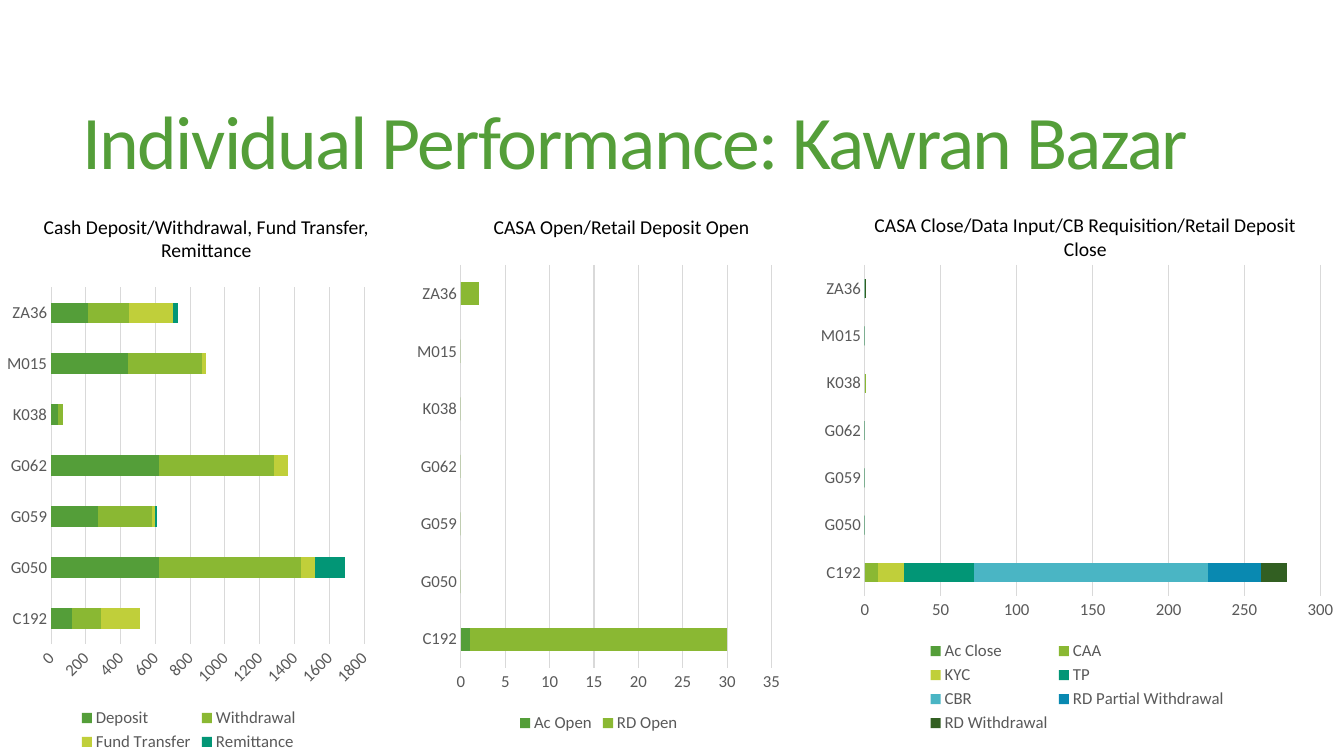
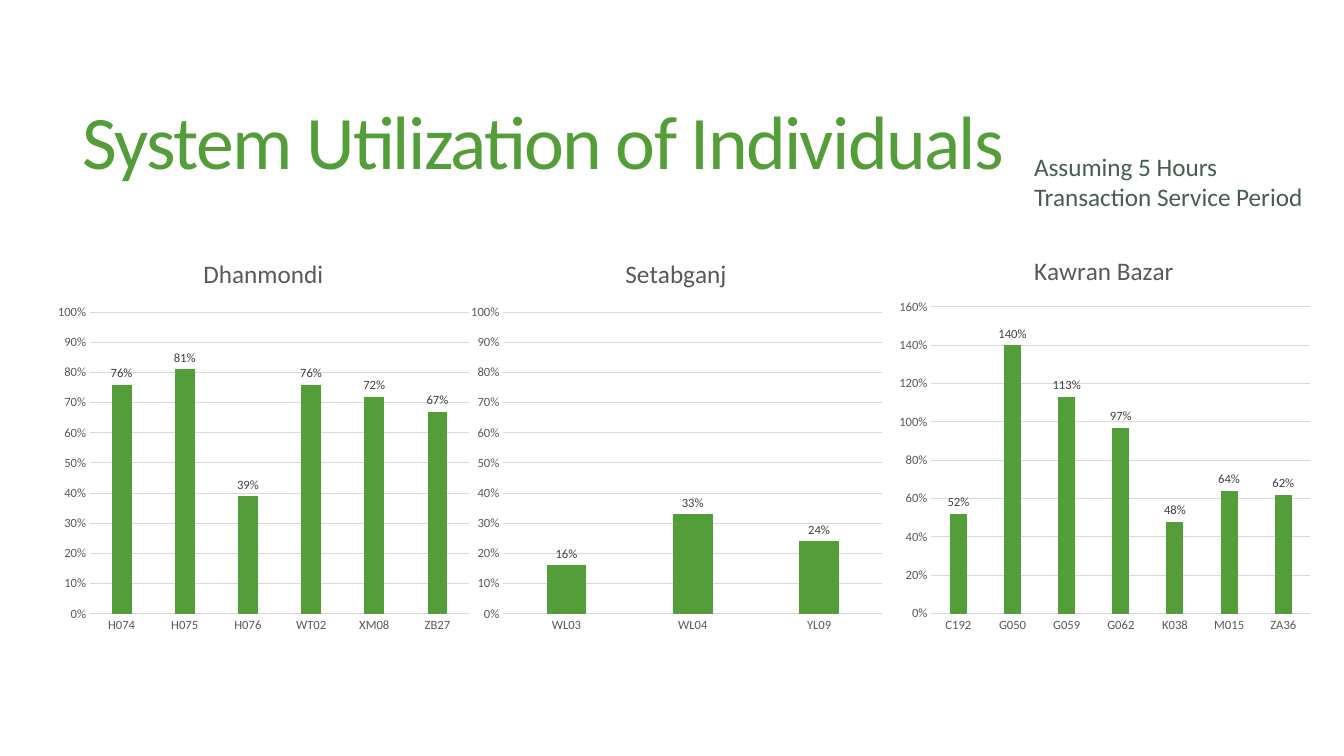
from lxml.etree import SubElement
from pptx import Presentation
from pptx.chart.data import CategoryChartData
from pptx.dml.color import RGBColor
from pptx.enum.chart import (XL_CHART_TYPE as ChartType, XL_LABEL_POSITION as LabelPos,
                             XL_LEGEND_POSITION as LegendPos, XL_TICK_MARK as Tick)
from pptx.enum.text import MSO_ANCHOR as Anchor, MSO_AUTO_SIZE as AutoSize, PP_ALIGN as Align
from pptx.oxml.ns import qn
from pptx.util import Inches, Pt

WIDTH, HEIGHT = Inches(13.33), Inches(7.5)
FONT = "Calibri"
GREEN = RGBColor(0x54, 0x9E, 0x39)
PALETTE = (GREEN, RGBColor(0x8A, 0xB8, 0x33), RGBColor(0xC0, 0xCF, 0x3A),
           RGBColor(0x02, 0x96, 0x76), RGBColor(0x4A, 0xB5, 0xC4),
           RGBColor(0x09, 0x89, 0xB1), RGBColor(0x32, 0x5F, 0x22))
BLACK = RGBColor(0, 0, 0)
LABEL_GREY = RGBColor(0x40, 0x40, 0x40)
AXIS_GREY = RGBColor(0x59, 0x59, 0x59)
GRID_GREY = RGBColor(0xD9, 0xD9, 0xD9)
NOTE_GREEN = RGBColor(0x45, 0x5F, 0x51)

KAWRAN_STAFF = ("C192", "G050", "G059", "G062", "K038", "M015", "ZA36")

# Every box is (left, top, width, height) in percent of the slide.
TITLE_BOX = (5.4, 7.3, 88.4, 24.1)
NOTE_BOX = (76.2, 19.3, 23.8, 9.5)

# caption, caption box, chart box, plot box, axis maximum, axis step, number tilt, series
ACTIVITIES = (
    ("Cash Deposit/Withdrawal, Fund Transfer, Remittance",
     (2.2, 27.75, 26.3, 4.5), (0, 36.8, 28.1, 63.2), (3.8, 38, 23.3, 47.2), 1800, 200, -45,
     {"Deposit": (120, 620, 270, 620, 40, 440, 210),
      "Withdrawal": (170, 820, 310, 660, 30, 430, 240),
      "Fund Transfer": (220, 80, 20, 80, 0, 20, 250),
      "Remittance": (0, 170, 10, 0, 0, 0, 30)}),
    ("CASA Open/Retail Deposit Open",
     (33.1, 27.75, 26.3, 4.5), (30.5, 33.9, 28.1, 63.6), (34.3, 35.05, 23.1, 53.3), 35, 5, 0,
     {"Ac Open": (1, 0, 0, 0, 0, 0, 0),
      "RD Open": (29, 0, 0, 0, 0, 0, 2)}),
    ("CASA Close/Data Input/CB Requisition/Retail Deposit Close",
     (62.7, 27.5, 36.1, 4.5), (60.3, 33.9, 39.7, 63.6), (64.35, 35.05, 33.9, 43.8), 300, 50, 0,
     {"Ac Close": (0, 0, 0, 0, 0, 0, 0),
      "CAA": (9, 0, 0, 0, 1, 0, 0),
      "KYC": (17, 0, 0, 0, 0, 0, 0),
      "TP": (46, 0, 0, 0, 0, 0, 0),
      "CBR": (154, 0, 0, 0, 0, 0, 0),
      "RD Partial Withdrawal": (35, 0, 0, 0, 0, 0, 0),
      "RD Withdrawal": (17, 0, 0, 0, 0, 0, 1)}),
)

# branch, chart left, name left, name top, plot top, axis maximum, axis step, staff, shares
BRANCHES = (
    ("Dhanmondi", 3.6, 14.8, 33.35, 41.3, 1, 0.1,
     ("H074", "H075", "H076", "WT02", "XM08", "ZB27"),
     (0.76, 0.81, 0.39, 0.76, 0.72, 0.67)),
    ("Setabganj", 34.35, 46.2, 33.35, 41.3, 1, 0.1,
     ("WL03", "WL04", "YL09"), (0.16, 0.33, 0.24)),
    ("Kawran Bazar", 66.2, 76.6, 32.95, 40.6, 1.6, 0.2,
     KAWRAN_STAFF, (0.52, 1.4, 1.13, 0.97, 0.48, 0.64, 0.62)),
)
BRANCH_TOP, BRANCH_WIDTH, BRANCH_HEIGHT = 31.5, 31.9, 53.3
BRANCH_PLOT_INDENT, BRANCH_PLOT_WIDTH, BRANCH_BASELINE = 3.1, 28.2, 81.2


def place(box):
    left, top, width, height = box
    return (int(WIDTH * left / 100), int(HEIGHT * top / 100),
            int(WIDTH * width / 100), int(HEIGHT * height / 100))


def style_font(font, size, color):
    font.name, font.size, font.bold = FONT, Pt(size), False
    font.color.rgb = color


def add_text(slide, box, text, size, color, align=Align.LEFT):
    frame = slide.shapes.add_textbox(*place(box)).text_frame
    frame.word_wrap = True
    frame.auto_size = AutoSize.SHAPE_TO_FIT_TEXT
    paragraph = frame.paragraphs[0]
    paragraph.text = text
    paragraph.alignment = align
    style_font(paragraph.runs[0].font, size, color)
    return frame


def add_title(slide, text):
    frame = add_text(slide, TITLE_BOX, text, 54, GREEN)
    frame.auto_size = AutoSize.NONE
    frame.vertical_anchor = Anchor.MIDDLE
    paragraph = frame.paragraphs[0]
    paragraph.line_spacing = 0.85
    paragraph.runs[0].font._element.set("spc", "-120")


def set_layout(part, index, chart_box, target):
    """Fix a chart part at target, a slide box or only its left and top."""
    for old in part.findall(qn("c:layout")):
        part.remove(old)
    layout = part.makeelement(qn("c:layout"))
    part.insert(index, layout)
    manual = SubElement(layout, qn("c:manualLayout"))
    left, top, width, height = chart_box
    shares = [(target[0] - left) / width, (target[1] - top) / height]
    settings = [("xMode", "edge"), ("yMode", "edge")]
    if len(target) == 4:
        settings.insert(0, ("layoutTarget", "inner"))
        shares += [target[2] / width, target[3] / height]
    settings += [(name, f"{share:.4f}") for name, share in zip("xywh", shares)]
    for name, value in settings:
        SubElement(manual, qn(f"c:{name}"), val=value)


def tilt_numbers(chart, degrees):
    body = chart.element.xpath(".//c:valAx/c:txPr/a:bodyPr")[0]
    body.set("rot", str(degrees * 60000))
    body.set("vert", "horz")


def style_axes(chart, size, maximum, step):
    names, values = chart.category_axis, chart.value_axis
    for axis in (names, values):
        axis.major_tick_mark = axis.minor_tick_mark = Tick.NONE
        style_font(axis.tick_labels.font, size, AXIS_GREY)
    values.minimum_scale, values.maximum_scale, values.major_unit = 0, maximum, step
    values.has_major_gridlines = True
    values.format.line.fill.background()
    for line in (names.format.line, values.major_gridlines.format.line):
        line.color.rgb, line.width = GRID_GREY, Pt(0.75)


def add_bars(slide, kind, box, plot_box, staff, series, size, maximum, step):
    data = CategoryChartData()
    data.categories = staff
    for name, values in series.items():
        data.add_series(name, values)
    chart = slide.shapes.add_chart(kind, *place(box), data).chart
    style_font(chart.font, 10, BLACK)
    chart.has_title = chart.has_legend = False
    style_axes(chart, size, maximum, step)
    chart.plots[0].vary_by_categories = False
    for bars, color in zip(chart.plots[0].series, PALETTE):
        bars.format.fill.solid()
        bars.format.fill.fore_color.rgb = color
        bars.invert_if_negative = False
    set_layout(chart.element.xpath("c:chart/c:plotArea")[0], 0, box, plot_box)
    return chart


def add_activity(slide, box, plot_box, maximum, step, tilt, series):
    chart = add_bars(slide, ChartType.BAR_STACKED, box, plot_box, KAWRAN_STAFF,
                     series, 12, maximum, step)
    tilt_numbers(chart, tilt)
    chart.plots[0].gap_width, chart.plots[0].overlap = 150, 100
    chart.has_legend = True
    chart.legend.position = LegendPos.BOTTOM
    chart.legend.include_in_layout = False
    style_font(chart.legend.font, 12, AXIS_GREY)


def add_branch(slide, branch, left, name_left, name_top, plot_top, maximum, step, staff, shares):
    box = (left, BRANCH_TOP, BRANCH_WIDTH, BRANCH_HEIGHT)
    plot_box = (left + BRANCH_PLOT_INDENT, plot_top,
                BRANCH_PLOT_WIDTH, BRANCH_BASELINE - plot_top)
    chart = add_bars(slide, ChartType.COLUMN_CLUSTERED, box, plot_box, staff,
                     {"Series 1": shares}, 9, maximum, step)
    plot = chart.plots[0]
    plot.gap_width, plot.overlap = 219, -27
    percent = chart.value_axis.tick_labels
    percent.number_format, percent.number_format_is_linked = "0%", False

    plot.has_data_labels = True
    labels = plot.data_labels
    labels.show_value, labels.position = True, LabelPos.OUTSIDE_END
    labels.number_format, labels.number_format_is_linked = "0%", False
    style_font(labels.font, 9, LABEL_GREY)

    heading = chart.chart_title.text_frame.paragraphs[0]
    heading.text = branch
    style_font(heading.runs[0].font, 18, AXIS_GREY)
    set_layout(chart.element.xpath("c:chart/c:title")[0], 1, box, (name_left, name_top))


def main():
    deck = Presentation()
    deck.slide_width, deck.slide_height = WIDTH, HEIGHT
    blank = deck.slide_layouts[6]

    performance = deck.slides.add_slide(blank)
    add_title(performance, "Individual Performance: Kawran Bazar")
    for caption, caption_box, *activity in ACTIVITIES:
        add_activity(performance, *activity)
        add_text(performance, caption_box, caption, 14, BLACK, Align.CENTER)

    utilization = deck.slides.add_slide(blank)
    add_title(utilization, "System Utilization of Individuals")
    for branch in BRANCHES:
        add_branch(utilization, *branch)
    add_text(utilization, NOTE_BOX, "Assuming 5 Hours Transaction Service Period", 18, NOTE_GREEN)

    deck.save("out.pptx")


if __name__ == "__main__":
    main()
